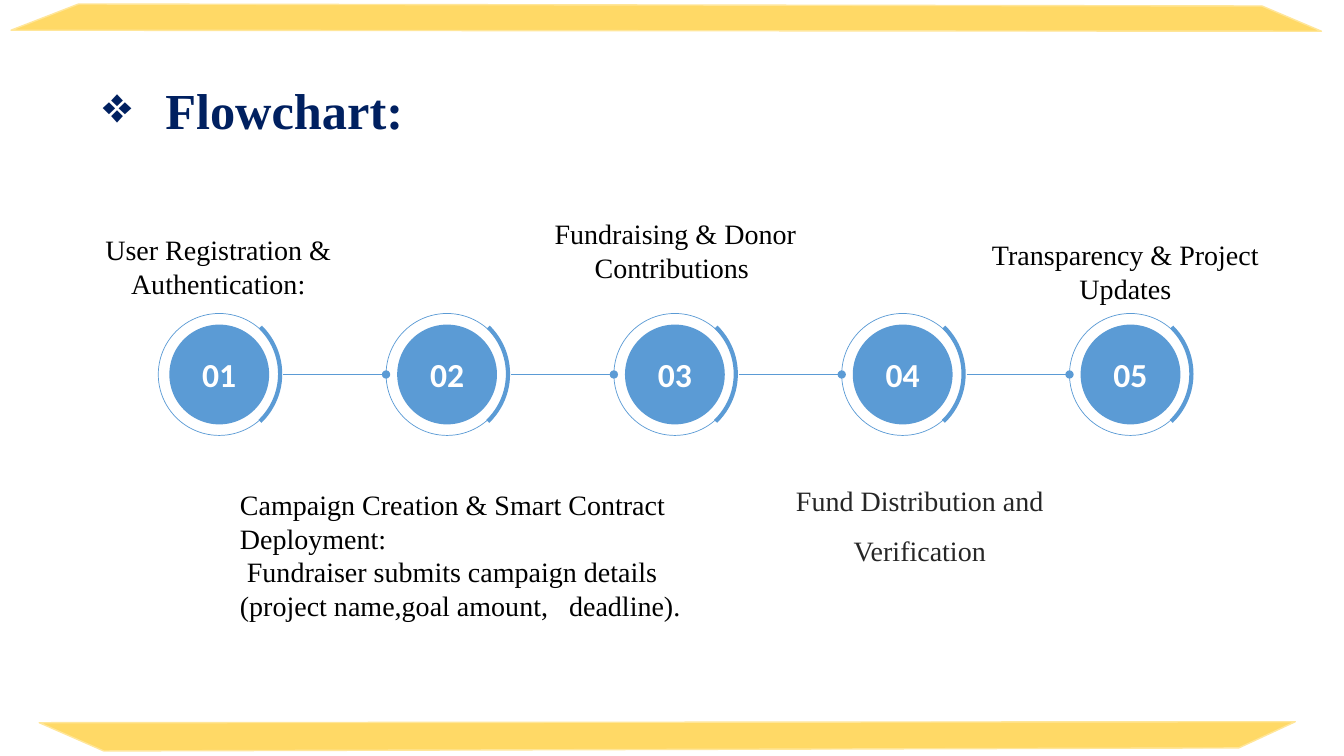
from dataclasses import dataclass

from lxml.etree import SubElement
from pptx import Presentation
from pptx.dml.color import RGBColor
from pptx.enum.shapes import MSO_CONNECTOR, MSO_SHAPE
from pptx.enum.text import MSO_ANCHOR, PP_ALIGN
from pptx.oxml.ns import qn
from pptx.shapes.autoshape import Shape
from pptx.slide import Slide
from pptx.text.text import TextFrame
from pptx.util import Inches, Length, Pt

BLUE = RGBColor(0x5B, 0x9B, 0xD5)
NAVY = RGBColor(0x00, 0x20, 0x60)
GOLD = RGBColor(0xFF, 0xD9, 0x66)
PALE_GOLD = RGBColor(0xFF, 0xE6, 0x99)
BLACK = RGBColor(0x00, 0x00, 0x00)
CHARCOAL = RGBColor(0x26, 0x26, 0x26)
WHITE = RGBColor(0xFF, 0xFF, 0xFF)
SERIF = "Times New Roman"
SANS = "Calibri"

COLUMNS, ROWS = 133.33, 75
FIRST_RING, STEP_PITCH = 15.7, 22.6
RING_TOP, RING_SIZE = 31.1, 12.1
DISC_INSET = 1.1
ARC_SHIFT, ARC_TOP, ARC_SIZE = -0.9, 30.6, 13
LINK_GAP, LINK_ROW = 0.3, 37.15
STEP_COUNT = 5


def cells(count: float) -> Length:
    return Inches(count / 10)


@dataclass(frozen=True)
class Area:
    column: float
    row: float
    width: float
    height: float

    def lengths(self) -> tuple[Length, Length, Length, Length]:
        return cells(self.column), cells(self.row), cells(self.width), cells(self.height)


@dataclass(frozen=True)
class Caption:
    area: Area
    text: str
    color: RGBColor = BLACK
    align: PP_ALIGN = PP_ALIGN.CENTER
    anchor: MSO_ANCHOR = MSO_ANCHOR.TOP
    spacing: float = 1.0


BANDS = [
    [(7.8, 0.4), (1.1, 3), (131.1, 3.1), (125.2, 0.6)],
    [(10.3, 74.5), (3.9, 71.7), (128.5, 71.6), (122.9, 74.2)],
]

CAPTIONS = [
    Caption(Area(7.7, 23.1, 27.9, 4.9), "User Registration & Authentication:"),
    Caption(Area(52.7, 21.5, 27.9, 9.2), " Fundraising & Donor Contributions"),
    Caption(Area(97.7, 23.6, 27.9, 4.9), "Transparency & Project Updates"),
    Caption(
        Area(23.8, 43.2, 46.1, 18.5),
        "Campaign Creation & Smart Contract Deployment:\n"
        " Fundraiser submits campaign details (project name,goal amount,   deadline).",
        align=PP_ALIGN.LEFT,
        anchor=MSO_ANCHOR.BOTTOM,
    ),
    Caption(
        Area(77.3, 46.3, 27.9, 12.4),
        "Fund Distribution and Verification",
        color=CHARCOAL,
        spacing=1.5,
    ),
]


def format_text(frame: TextFrame, font: str, size: float, color: RGBColor,
                align: PP_ALIGN, bold: bool = False, spacing: float = 1.0) -> None:
    for paragraph in frame.paragraphs:
        paragraph.alignment = align
        paragraph.line_spacing = spacing
        for run in paragraph.runs:
            run.font.name = font
            run.font.size = Pt(size)
            run.font.bold = bold
            run.font.color.rgb = color


def clear_margins(frame: TextFrame) -> None:
    frame.margin_left = frame.margin_top = frame.margin_right = frame.margin_bottom = 0


def draw_title(slide: Slide) -> None:
    title = slide.shapes.title
    title.left, title.top, title.width, title.height = Area(9.2, 4, 115, 14.5).lengths()
    frame = title.text_frame
    frame.text = "Flowchart:"
    frame.word_wrap = True
    frame.vertical_anchor = MSO_ANCHOR.MIDDLE
    format_text(frame, SERIF, 36, NAVY, PP_ALIGN.LEFT, bold=True, spacing=0.9)
    properties = frame.paragraphs[0]._p.get_or_add_pPr()
    properties.set("marL", str(cells(6.2)))
    properties.set("indent", str(-cells(6.2)))
    SubElement(properties, qn("a:buChar"), char="❖")


def draw_band(slide: Slide, corners: list[tuple[float, float]]) -> None:
    points = [(cells(column), cells(row)) for column, row in corners]
    builder = slide.shapes.build_freeform(*points[0], scale=1.0)
    builder.add_line_segments(points[1:], close=True)
    band = builder.convert_to_shape()
    band.shadow.inherit = False
    band.fill.solid()
    band.fill.fore_color.rgb = GOLD
    band.line.color.rgb = PALE_GOLD
    band.line.width = Pt(1)


def draw_outline(slide: Slide, preset: MSO_SHAPE, area: Area, weight: float) -> Shape:
    outline = slide.shapes.add_shape(preset, *area.lengths())
    outline.shadow.inherit = False
    outline.fill.background()
    outline.line.color.rgb = BLUE
    outline.line.width = Pt(weight)
    return outline


def draw_step(slide: Slide, index: int) -> None:
    column = FIRST_RING + index * STEP_PITCH
    draw_outline(slide, MSO_SHAPE.OVAL, Area(column, RING_TOP, RING_SIZE, RING_SIZE), 0.5)

    disc_size = RING_SIZE - 2 * DISC_INSET
    disc_area = Area(column + DISC_INSET, RING_TOP + DISC_INSET, disc_size, disc_size)
    disc = slide.shapes.add_shape(MSO_SHAPE.OVAL, *disc_area.lengths())
    disc.shadow.inherit = False
    disc.fill.solid()
    disc.fill.fore_color.rgb = BLUE
    disc.line.fill.background()
    frame = disc.text_frame
    frame.text = f"{index + 1:02d}"
    frame.word_wrap = False
    frame.vertical_anchor = MSO_ANCHOR.MIDDLE
    clear_margins(frame)
    format_text(frame, SANS, 24, WHITE, PP_ALIGN.CENTER, bold=True)

    arc_area = Area(column + ARC_SHIFT, ARC_TOP, ARC_SIZE, ARC_SIZE)
    arc = draw_outline(slide, MSO_SHAPE.ARC, arc_area, 3)
    arc.adjustments[0] = 26.57
    arc.adjustments[1] = 81.76
    arc.rotation = 270


def draw_link(slide: Slide, index: int) -> None:
    column = FIRST_RING + index * STEP_PITCH
    link = slide.shapes.add_connector(
        MSO_CONNECTOR.STRAIGHT,
        cells(column + RING_SIZE + LINK_GAP), cells(LINK_ROW),
        cells(column + STEP_PITCH), cells(LINK_ROW),
    )
    link.line.color.rgb = BLUE
    link.line.width = Pt(1.25)
    SubElement(link.line._get_or_add_ln(), qn("a:tailEnd"), type="oval")
    SubElement(link._element.spPr, qn("a:effectLst"))


def draw_caption(slide: Slide, caption: Caption) -> None:
    frame = slide.shapes.add_textbox(*caption.area.lengths()).text_frame
    frame.text = caption.text
    frame.word_wrap = True
    frame.vertical_anchor = caption.anchor
    clear_margins(frame)
    format_text(frame, SERIF, 20, caption.color, caption.align, spacing=caption.spacing)


def main() -> None:
    deck = Presentation()
    deck.slide_width, deck.slide_height = cells(COLUMNS), cells(ROWS)
    slide = deck.slides.add_slide(deck.slide_layouts.get_by_name("Title Only"))
    draw_title(slide)
    for corners in BANDS:
        draw_band(slide, corners)
    for index in range(STEP_COUNT):
        draw_step(slide, index)
    for index in range(STEP_COUNT - 1):
        draw_link(slide, index)
    for caption in CAPTIONS:
        draw_caption(slide, caption)
    deck.save("out.pptx")


if __name__ == "__main__":
    main()
